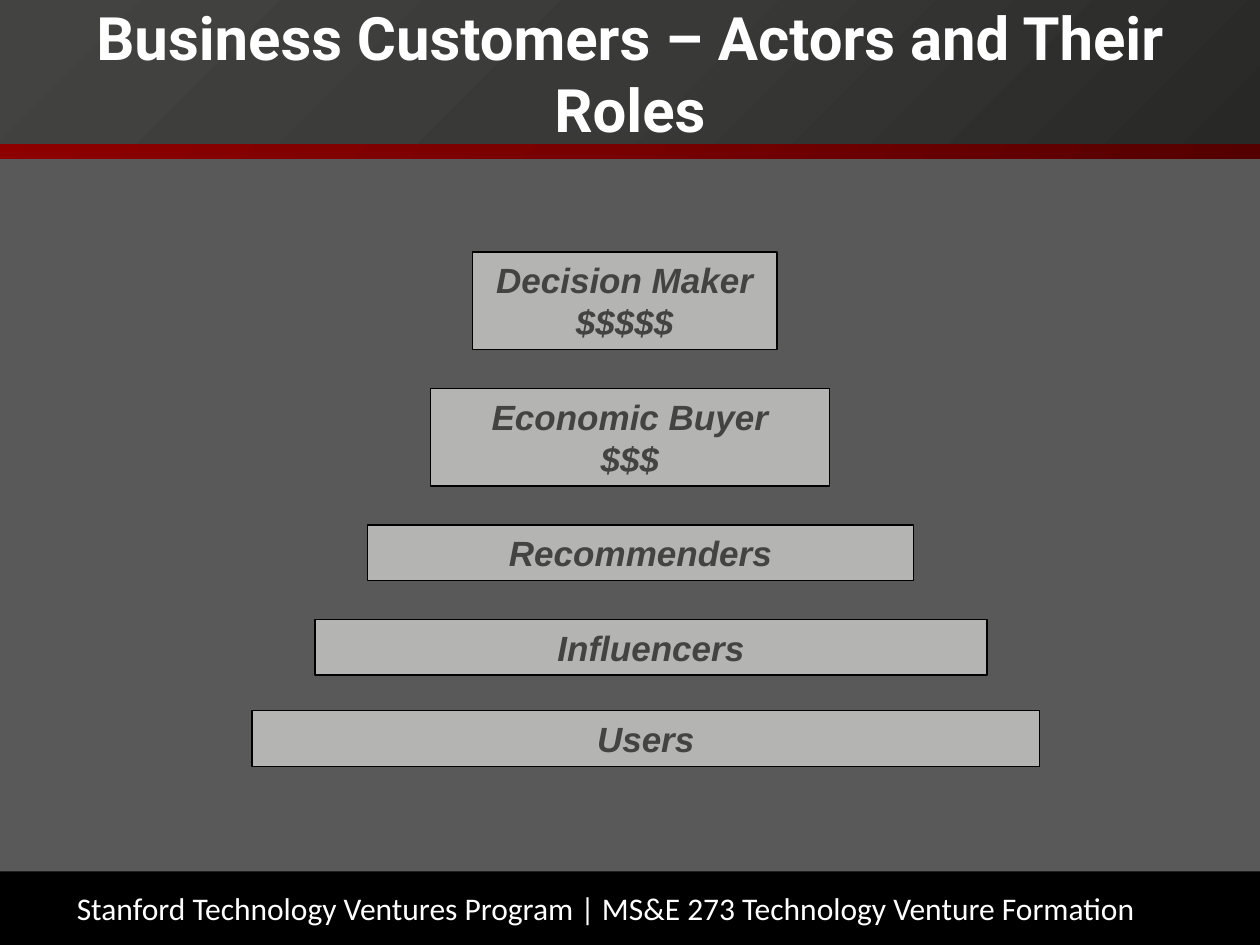
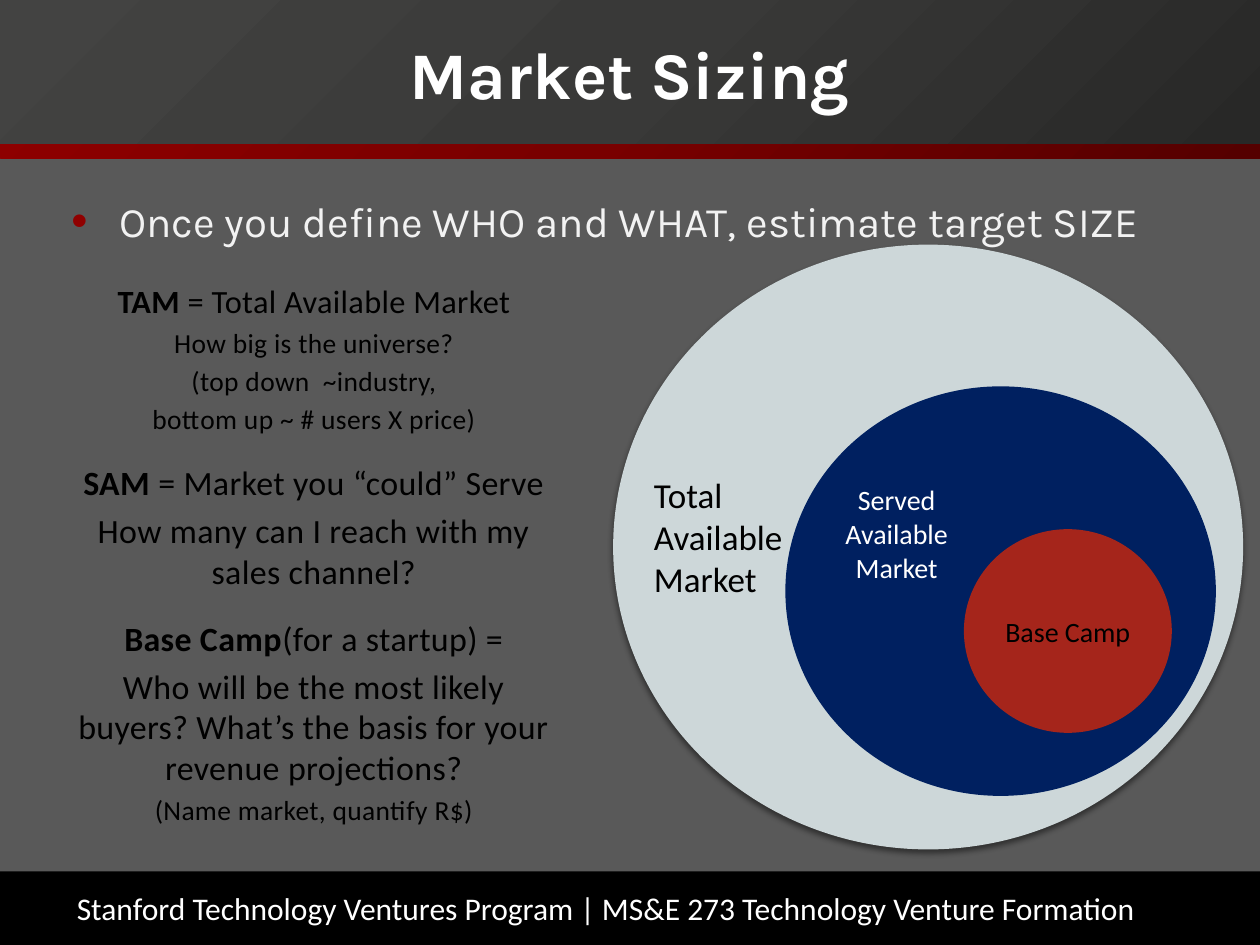
from dataclasses import dataclass
from typing import NamedTuple, Optional

from lxml import etree
from pptx import Presentation
from pptx.dml.color import RGBColor
from pptx.enum.shapes import MSO_SHAPE
from pptx.enum.text import MSO_ANCHOR, MSO_AUTO_SIZE, PP_ALIGN
from pptx.oxml.ns import qn
from pptx.util import Inches, Pt

RECT, OVAL = MSO_SHAPE.RECTANGLE, MSO_SHAPE.OVAL
MID, TOP = MSO_ANCHOR.MIDDLE, MSO_ANCHOR.TOP
LEFT, MIDDLE = PP_ALIGN.LEFT, PP_ALIGN.CENTER
FIXED = MSO_AUTO_SIZE.NONE

BLACK = RGBColor(0x00, 0x00, 0x00)
WHITE = RGBColor(0xFF, 0xFF, 0xFF)
PALE = RGBColor(0xF2, 0xF2, 0xF2)
BACK = RGBColor(0x59, 0x59, 0x59)
STEEL = RGBColor(0xB4, 0xB4, 0xB3)
COAL = RGBColor(0x43, 0x43, 0x42)
MIST = RGBColor(0xCD, 0xD7, 0xD9)
NAVY = RGBColor(0x00, 0x20, 0x60)
BRICK = RGBColor(0xA5, 0x25, 0x1B)
RED = RGBColor(0x90, 0x00, 0x00)
REDS = (RGBColor(0x55, 0x00, 0x00), RGBColor(0x79, 0x00, 0x00), RED)
GREYS = (RGBColor(0x28, 0x28, 0x27), RGBColor(0x39, 0x39, 0x38), COAL)

COLS, ROWS = 120, 90
CELL = Inches(10) / COLS
FOOTER = "Stanford Technology Ventures Program | MS&E 273 Technology Venture Formation"


class Area(NamedTuple):
    """A place on the slide, in grid columns and rows."""
    col: float
    row: float
    wide: float
    high: float

    def emu(self) -> list[int]:
        return [round(n * CELL) for n in self]


class Face(NamedTuple):
    name: str
    size: float
    color: RGBColor
    bold: bool = False
    slant: bool = False


@dataclass
class Block:
    area: Area
    fill: RGBColor
    text: str = ""
    face: Optional[Face] = None
    form: MSO_SHAPE = RECT
    line: Optional[RGBColor] = None
    align: PP_ALIGN = MIDDLE
    anchor: MSO_ANCHOR = MID
    wrap: bool = True


class Note(NamedTuple):
    bold: str
    plain: str
    size: float
    gap: float


LABEL = Face("Arial", 20, COAL, True, True)
SMALL = Face("Calibri", 16, BLACK)
LOW, TALL = 5.3, 9.3

ROLES = [
    Block(Area(col, row, wide, high), STEEL, text, LABEL, line=BLACK)
    for text, col, row, wide, high in (
        ("Decision Maker\n$$$$$", 45, 24, 29, TALL),
        ("Economic Buyer\n$$$", 41, 37, 38, TALL),
        ("Recommenders", 35, 50, 52, LOW),
        ("Influencers", 30, 59, 64, LOW),
        ("Users", 24, 67.7, 75, LOW),
    )
]

MARKETS = [
    Block(Area(58.4, 23.3, 60, 57.6), MIST, form=OVAL),
    Block(Area(61.1, 41.2, 19.1, 19.7), MIST, "Total\vAvailable\vMarket",
          Face("Calibri", 20, BLACK), align=LEFT),
    Block(Area(74.8, 36.8, 41, 39), NAVY, form=OVAL),
    Block(Area(78.8, 45.4, 13.2, 10.9), NAVY, "Served\vAvailable\vMarket",
          SMALL._replace(color=WHITE), anchor=TOP, wrap=False),
    Block(Area(91.8, 50.4, 19.8, 19.4), BRICK, "Base Camp", SMALL,
          form=OVAL, wrap=False),
]

NOTES = [
    Note("TAM", " = Total Available Market", 18.5, 0),
    Note("", "How big is the universe?", 15.7, 3.1),
    Note("", "(top down  ~industry,", 15.7, 3.1),
    Note("", "bottom up ~ # users X price)", 15.7, 3.1),
    Note("SAM", " = Market you “could” Serve", 19.4, 15.2),
    Note("", "How many can I reach with my sales channel?", 19.4, 3.9),
    Note("Base Camp", "(for a startup) =", 19.4, 15.2),
    Note("", "Who will be the most likely buyers? What’s the basis for your "
             "revenue projections?", 19.4, 3.9),
    Note("", "(Name market, quantify R$)", 15.7, 3.1),
]


def style(para, face: Face, align: PP_ALIGN) -> None:
    para.alignment = align
    font = para.font
    font.name, font.size = face.name, Pt(face.size)
    font.bold, font.italic = face.bold, face.slant
    font.color.rgb = face.color


def place(shape, area: Area) -> None:
    shape.left, shape.top, shape.width, shape.height = area.emu()


def draw(slide, block: Block):
    shape = slide.shapes.add_shape(block.form, *block.area.emu())
    shape.shadow.inherit = False
    shape.fill.solid()
    shape.fill.fore_color.rgb = block.fill
    if block.line is None:
        shape.line.fill.background()
    else:
        shape.line.color.rgb = block.line
        shape.line.width = Pt(0.75)
    if block.face:
        frame = shape.text_frame
        frame.text = block.text
        frame.word_wrap = block.wrap
        frame.vertical_anchor = block.anchor
        for para in frame.paragraphs:
            style(para, block.face, block.align)
    return shape


def add(parent, tag: str, **attrs):
    return etree.SubElement(parent, qn(tag), {k: str(v) for k, v in attrs.items()})


def blend(shape, colors: tuple, ring: bool) -> None:
    """Fill with three even stops, from a corner (ring) or on a slant."""
    shape.fill.gradient()
    props = shape.element.spPr
    frame = props.find(qn("a:xfrm"))
    for flip in ("flipH", "flipV"):
        frame.set(flip, "1")
    grad = props.find(qn("a:gradFill"))
    for child in list(grad):
        grad.remove(child)
    stops = add(grad, "a:gsLst")
    for i, color in enumerate(colors):
        add(add(stops, "a:gs", pos=i * 50000), "a:srgbClr", val=color)
    if ring:
        way = add(grad, "a:path", path="circle")
        add(way, "a:fillToRect", l=100000, t=100000)
    else:
        add(grad, "a:lin", ang=45 * 60000, scaled=0)


def cast(shape) -> None:
    """Give the shape a soft shadow below it."""
    effects = shape.element.spPr.find(qn("a:effectLst"))
    shade = add(effects, "a:outerShdw", blurRad=Pt(3), dist=Pt(2.4),
                dir=90 * 60000, rotWithShape=0)
    add(add(shade, "a:srgbClr", val=BLACK), "a:alpha", val=45000)


def dress(deck, slide) -> None:
    """Put the background and bands on the master, drawn by way of a slide."""
    master = deck.slide_master
    master.background.fill.solid()
    master.background.fill.fore_color.rgb = BACK
    foot = draw(slide, Block(Area(0, 83, COLS, ROWS - 83), BLACK, FOOTER,
                             Face("Calibri", 18, WHITE), align=LEFT))
    foot.text_frame.margin_left = Inches(0.61)
    stripe = draw(slide, Block(Area(0, 5.5, COLS, 9.6), RED))
    blend(stripe, REDS, True)
    head = draw(slide, Block(Area(0, 0, COLS, 13.7), COAL))
    blend(head, GREYS, False)
    for i, band in enumerate((foot, stripe, head)):
        band.element.nvSpPr.cNvPr.set("id", str(20 + i))
        master.shapes.element.insert(2 + i, band.element)


def title(slide, text: str, name: str, size: float) -> None:
    shape = slide.shapes.title
    place(shape, Area(3, 0.4, 114, 13))
    frame = shape.text_frame
    frame.text = text
    frame.auto_size, frame.vertical_anchor = FIXED, MID
    style(frame.paragraphs[0], Face(name, size, WHITE, True), MIDDLE)


def lead(slide, text: str) -> None:
    body = slide.placeholders[1]
    place(body, Area(5.6, 18, 107, 62.8))
    frame = body.text_frame
    frame.text = text
    frame.auto_size = FIXED
    para = frame.paragraphs[0]
    props = para._p.get_or_add_pPr()
    props.set("marL", str(Inches(0.38)))
    props.set("indent", str(-Inches(0.38)))
    add(add(props, "a:buClr"), "a:srgbClr", val=RED)
    add(props, "a:buSzPct", val=110000)
    add(props, "a:buChar", char="•")
    para.space_before = Pt(0)
    style(para, Face("Karla", 24, PALE), LEFT)


def explain(slide) -> None:
    box = slide.shapes.add_textbox(*Area(6.4, 26.2, 47, 54.8).emu())
    frame = box.text_frame
    frame.word_wrap = True
    frame.margin_left = frame.margin_right = 0
    for i, note in enumerate(NOTES):
        para = frame.add_paragraph() if i else frame.paragraphs[0]
        para.space_before = Pt(note.gap)
        style(para, Face("Calibri", note.size, BLACK), MIDDLE)
        for text, bold in ((note.bold, True), (note.plain, False)):
            if text:
                run = para.add_run()
                run.text = text
                run.font.bold = bold
                run.font._element.set("spc", "20")


def main() -> None:
    deck = Presentation()
    deck.slide_width, deck.slide_height = Inches(10), Inches(7.5)

    roles = deck.slides.add_slide(deck.slide_layouts[5])
    dress(deck, roles)
    title(roles, "Business Customers – Actors and Their Roles", "Roboto", 34.2)
    for block in ROLES:
        draw(roles, block)

    sizing = deck.slides.add_slide(deck.slide_layouts[1])
    title(sizing, "Market Sizing", "Karla", 38)
    lead(sizing, "Once you define WHO and WHAT, estimate target SIZE")
    total, *inner = MARKETS
    cast(draw(sizing, total))
    for block in inner:
        draw(sizing, block)
    explain(sizing)

    deck.save("out.pptx")


if __name__ == "__main__":
    main()
